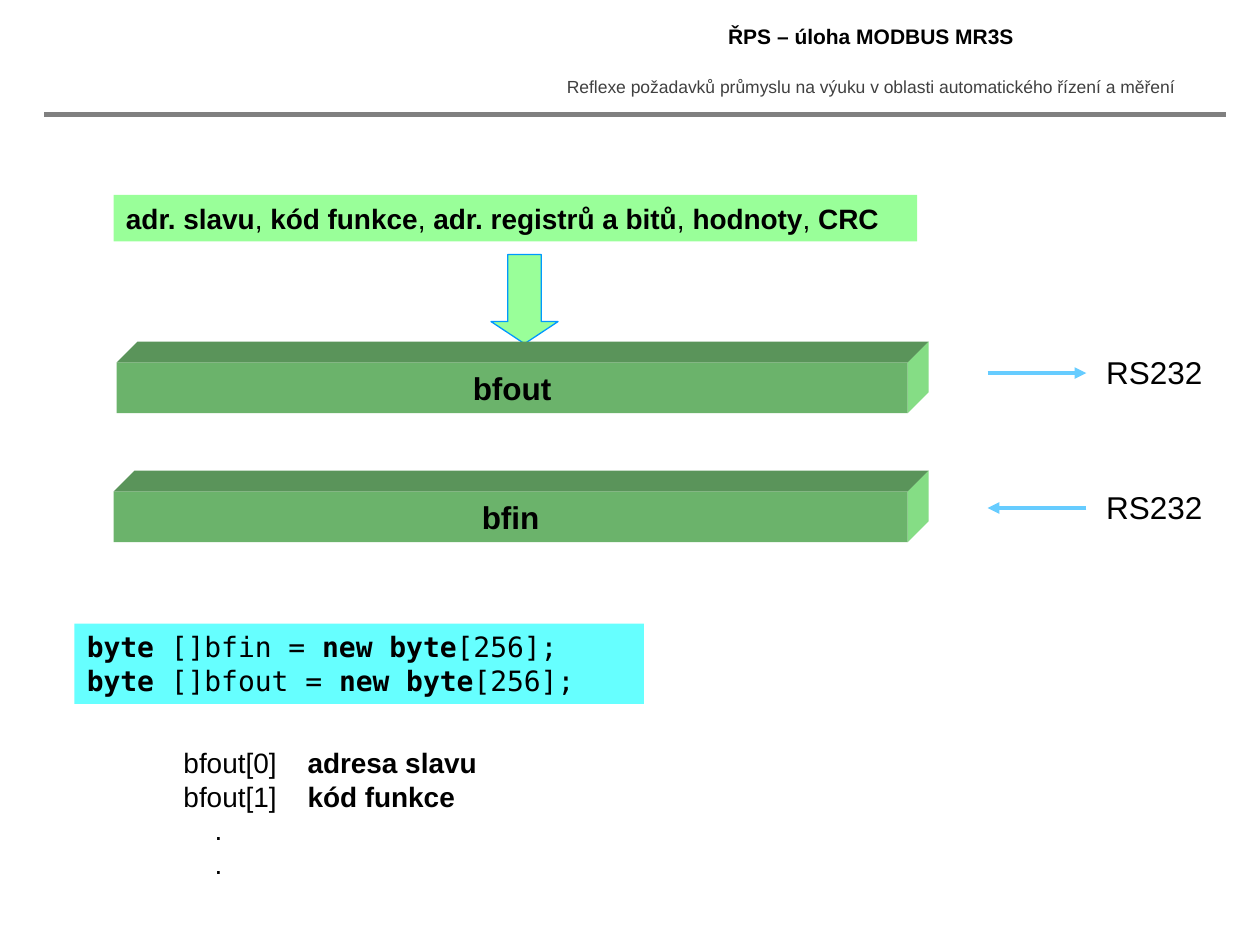
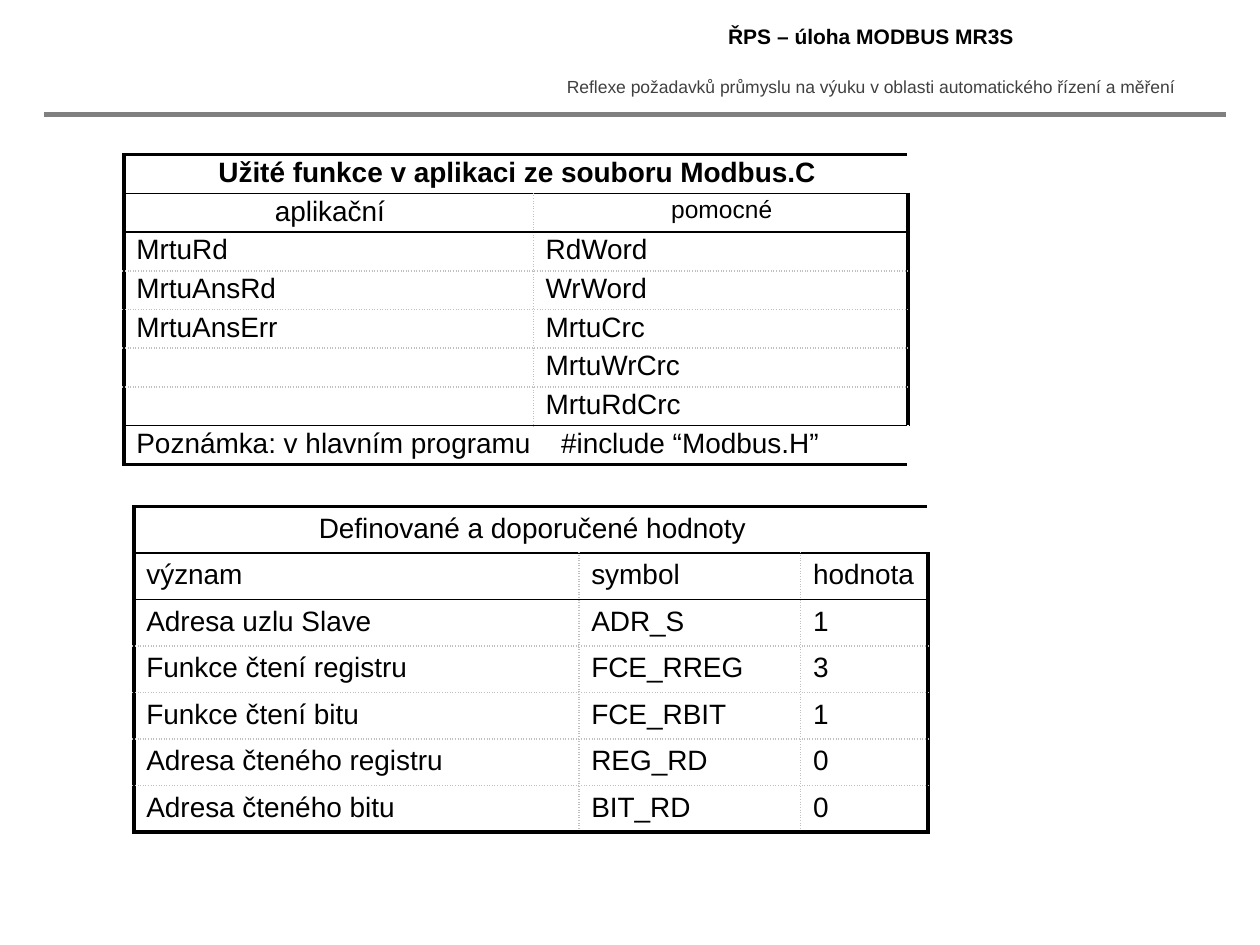
"""Build two slides on a MODBUS exercise: byte buffers and function tables."""
import dataclasses
import typing

import lxml.etree
import pptx
import pptx.dml.color
import pptx.enum.dml
import pptx.enum.shapes
import pptx.enum.text
import pptx.oxml.ns
import pptx.util

Cm = pptx.util.Cm
Pt = pptx.util.Pt
RGBColor = pptx.dml.color.RGBColor
Align = pptx.enum.text.PP_ALIGN
Shape = pptx.enum.shapes.MSO_SHAPE
qn = pptx.oxml.ns.qn

BLACK = RGBColor(0x00, 0x00, 0x00)
DARK = RGBColor(0x40, 0x40, 0x40)
GRAY = RGBColor(0x80, 0x80, 0x80)
PALE = RGBColor(0xC0, 0xC0, 0xC0)
LIME = RGBColor(0x99, 0xFF, 0x99)
FRONT = RGBColor(0x6B, 0xB3, 0x6B)
TOP = RGBColor(0x5A, 0x94, 0x5A)
SIDE = RGBColor(0x85, 0xDD, 0x85)
CYAN = RGBColor(0x66, 0xFF, 0xFF)
SKY = RGBColor(0x66, 0xCC, 0xFF)
BLUE = RGBColor(0x00, 0x99, 0xFF)

SANS = "Arial"
MONO = "DejaVu Sans Mono"
DEPTH = 0.42  # depth of the buffer bars, cm


@dataclasses.dataclass
class Box:
    """A place on the slide, in centimetres."""
    left: float
    top: float
    width: float
    height: float

    def emu(self) -> tuple:
        """Return the four lengths for python-pptx."""
        return Cm(self.left), Cm(self.top), Cm(self.width), Cm(self.height)


@dataclasses.dataclass
class Style:
    """How a text looks."""
    size: float = 16
    color: RGBColor = BLACK
    font: str = SANS
    align: Align = Align.LEFT


@dataclasses.dataclass
class Bar:
    """A buffer with its serial link."""
    name: str
    box: Box
    link: float
    sends: bool


@dataclasses.dataclass
class Grid:
    """A framed table; rows with one text span all columns."""
    left: float
    top: float
    cols: list[float]
    row: float
    pad: float
    rules: set[int]  # row edges drawn solid
    rows: list[list[str]]
    center: set[int]  # rows with centred text
    small: typing.Optional[str] = None
    tab: float = 0


def write(par: typing.Any, text: str, style: Style) -> None:
    """Fill a paragraph; text between asterisks is bold."""
    par.alignment = style.align
    for i, part in enumerate(text.split("*")):
        if part:
            run = par.add_run()
            run.text = part
            run.font.name = style.font
            run.font.size = Pt(style.size)
            run.font.bold = i % 2 == 1
            run.font.color.rgb = style.color


def stop(par: typing.Any, place: float) -> None:
    """Add a left tab stop to a paragraph."""
    tabs = lxml.etree.SubElement(par._p.get_or_add_pPr(), qn("a:tabLst"))
    lxml.etree.SubElement(tabs, qn("a:tab"), pos=str(Cm(place)), algn="l")


def fill_text(shape: typing.Any, lines: list[str], style: Style, wrap: bool = True) -> list:
    """Write lines into a shape and return its paragraphs."""
    frame = shape.text_frame
    frame.word_wrap = wrap
    frame.vertical_anchor = pptx.enum.text.MSO_ANCHOR.TOP
    pars = [frame.paragraphs[0]] + [frame.add_paragraph() for _ in lines[1:]]
    for par, line in zip(pars, lines):
        write(par, line, style)
    return pars


def add_text(slide: typing.Any, box: Box, lines: list[str], style: Style, wrap: bool = True) -> list:
    """Add a text box and return its paragraphs."""
    return fill_text(slide.shapes.add_textbox(*box.emu()), lines, style, wrap)


def paint(shape: typing.Any, color: RGBColor) -> None:
    """Give a shape a flat fill without line or shadow."""
    shape.shadow.inherit = False
    shape.fill.solid()
    shape.fill.fore_color.rgb = color
    shape.line.fill.background()


def add_panel(slide: typing.Any, box: Box, color: RGBColor, lines: list[str], style: Style) -> None:
    """Add a coloured rectangle with text."""
    shape = slide.shapes.add_shape(Shape.RECTANGLE, *box.emu())
    paint(shape, color)
    fill_text(shape, lines, style)


def add_line(slide: typing.Any, start: tuple, end: tuple, color: RGBColor,
             width: float, arrow: bool = False) -> None:
    """Draw a line, with an arrowhead at its end if asked."""
    line = slide.shapes.add_connector(
        pptx.enum.shapes.MSO_CONNECTOR.STRAIGHT, *(Cm(v) for v in start + end))
    line.line.color.rgb = color
    line.line.width = Pt(width)
    if arrow:
        lxml.etree.SubElement(line.line._get_or_add_ln(), qn("a:tailEnd"), type="triangle")
    lxml.etree.SubElement(line._element.spPr, qn("a:effectLst"))


def add_face(slide: typing.Any, points: list[tuple], color: RGBColor) -> None:
    """Draw a flat polygon."""
    spots = [(Cm(x), Cm(y)) for x, y in points]
    path = slide.shapes.build_freeform(*spots[0], scale=1.0)
    path.add_line_segments(spots[1:], close=True)
    paint(path.convert_to_shape(), color)


def add_bar(slide: typing.Any, bar: Bar) -> None:
    """Draw a solid bar and the arrow to or from its port."""
    box = bar.box
    right, base = box.left + box.width, box.top + box.height
    back, edge = box.top - DEPTH, right + DEPTH
    add_face(slide, [(box.left, box.top), (box.left + DEPTH, back),
                     (edge, back), (right, box.top)], TOP)
    add_face(slide, [(right, box.top), (edge, back),
                     (edge, base - DEPTH), (right, base)], SIDE)
    add_panel(slide, box, FRONT, [f"*{bar.name}*"], Style(18, align=Align.CENTER))
    ends = [(19.91, bar.link), (21.9, bar.link)]
    if not bar.sends:
        ends.reverse()
    add_line(slide, *ends, SKY, 2.25, arrow=True)
    add_text(slide, Box(22.05, bar.link - 0.53, 2.46, 1.0), ["RS232"], Style(18), wrap=False)


def add_edge(cell: typing.Any, side: str, color: RGBColor, width: float, dash: str) -> None:
    """Add one border to a table cell."""
    line = lxml.etree.SubElement(cell._tc.get_or_add_tcPr(), qn(f"a:ln{side}"), w=str(Pt(width)))
    fill = lxml.etree.SubElement(line, qn("a:solidFill"))
    lxml.etree.SubElement(fill, qn("a:srgbClr"), val=str(color))
    lxml.etree.SubElement(line, qn("a:prstDash"), val=dash)


def frame_cell(cell: typing.Any, grid: Grid, r: int, c: int, span: bool) -> None:
    """Draw thick outer, thin solid and dotted inner borders."""
    outer, thin, dots = (BLACK, 2.25, "solid"), (BLACK, 1, "solid"), (PALE, 1, "sysDot")
    for side, at, last in (("L", c, len(grid.cols)), ("R", c + 1, len(grid.cols)),
                           ("T", r, len(grid.rows)), ("B", r + 1, len(grid.rows))):
        if at in (0, last):
            add_edge(cell, side, *outer)
        elif side in "TB":
            add_edge(cell, side, *(thin if at in grid.rules else dots))
        elif not span:
            add_edge(cell, side, *dots)


def add_grid(slide: typing.Any, grid: Grid) -> None:
    """Add a table with its borders and texts."""
    box = Box(grid.left, grid.top, sum(grid.cols), grid.row * len(grid.rows))
    table = slide.shapes.add_table(len(grid.rows), len(grid.cols), *box.emu()).table
    table.first_row = table.horz_banding = False
    for col, width in zip(table.columns, grid.cols):
        col.width = Cm(width)
    for r, texts in enumerate(grid.rows):
        table.rows[r].height = Cm(grid.row)
        span = len(texts) == 1
        for c in range(len(grid.cols)):
            cell = table.cell(r, c)
            frame_cell(cell, grid, r, c, span)
            cell.fill.background()
            cell.margin_left, cell.margin_right = Cm(0.25), Cm(0.2)
            cell.margin_top = cell.margin_bottom = Cm(grid.pad)
            par = cell.text_frame.paragraphs[0]
            par.font.size = Pt(16)
            if c < len(texts):
                size = 14 if texts[c] == grid.small else 16
                align = Align.CENTER if r in grid.center else Align.LEFT
                write(par, texts[c], Style(size, align=align))
                if "\t" in texts[c]:
                    stop(par, grid.tab)
        if span:
            table.cell(r, 0).merge(table.cell(r, len(grid.cols) - 1))


def new_slide(deck: typing.Any) -> typing.Any:
    """Add a blank slide with the shared header."""
    slide = deck.slides.add_slide(deck.slide_layouts[6])
    add_text(slide, Box(10.92, 1.4, 13.26, 0.69),
             ["Reflexe požadavků průmyslu na výuku v oblasti automatického řízení a měření"],
             Style(10, DARK, align=Align.CENTER))
    add_text(slide, Box(10.92, 0.36, 13.28, 0.79), ["*ŘPS – úloha MODBUS MR3S*"],
             Style(12, align=Align.CENTER))
    add_line(slide, (0.89, 2.31), (24.71, 2.31), GRAY, 3)
    return slide


def draw_flow(slide: typing.Any) -> None:
    """Draw the buffers, their links and the code."""
    add_panel(slide, Box(2.29, 3.93, 16.2, 0.94), LIME,
              ["*adr. slavu*, *kód funkce*, *adr. registrů a bitů*, *hodnoty*, *CRC*"], Style())
    arrow = slide.shapes.add_shape(Shape.DOWN_ARROW, *Box(9.9, 5.13, 1.35, 1.8).emu())
    paint(arrow, LIME)
    arrow.line.color.rgb = BLUE
    arrow.line.width = Pt(0.75)
    arrow.adjustments[0], arrow.adjustments[1] = 0.5, 0.33
    for bar in (Bar("bfout", Box(2.35, 7.31, 15.95, 1.02), 7.52, True),
                Bar("bfin", Box(2.29, 9.91, 16.01, 1.02), 10.24, False)):
        add_bar(slide, bar)
    add_panel(slide, Box(1.5, 12.57, 11.48, 1.62), CYAN,
              [f"*byte* []{name} = *new byte*[256];" for name in ("bfin", "bfout")],
              Style(font=MONO))
    pars = add_text(slide, Box(3.45, 14.91, 7.5, 3.0),
                    ["bfout[0]\t*adresa slavu*", "bfout[1]\t*kód funkce*", ".", "."], Style())
    for par in pars[:2]:
        stop(par, 2.5)
    for par in pars[2:]:
        par._p.get_or_add_pPr().set("marL", str(Cm(0.63)))


def draw_lists(slide: typing.Any) -> None:
    """Add the tables of functions and values."""
    add_grid(slide, Grid(
        2.5, 3.12, [8.25, 7.55], 0.78, 0.05, {1, 2, 7},
        [["*Užité funkce v aplikaci ze souboru Modbus.C*"],
         ["aplikační", "pomocné"],
         ["MrtuRd", "RdWord"],
         ["MrtuAnsRd", "WrWord"],
         ["MrtuAnsErr", "MrtuCrc"],
         ["", "MrtuWrCrc"],
         ["", "MrtuRdCrc"],
         ["Poznámka: v hlavním programu\t#include “Modbus.H”"]],
        {0, 1}, "pomocné", 8.56))
    add_grid(slide, Grid(
        2.7, 10.21, [8.97, 4.47, 2.57], 0.93, 0.13, {1, 2},
        [["Definované a doporučené hodnoty"],
         ["význam", "symbol", "hodnota"],
         ["Adresa uzlu Slave", "ADR_S", "1"],
         ["Funkce čtení registru", "FCE_RREG", "3"],
         ["Funkce čtení bitu", "FCE_RBIT", "1"],
         ["Adresa čteného registru", "REG_RD", "0"],
         ["Adresa čteného bitu", "BIT_RD", "0"]],
        {0}))


def main() -> None:
    """Build and save the deck."""
    deck = pptx.Presentation()
    deck.slide_width, deck.slide_height = Cm(25.4), Cm(19.05)
    draw_flow(new_slide(deck))
    draw_lists(new_slide(deck))
    deck.save("out.pptx")


main()
